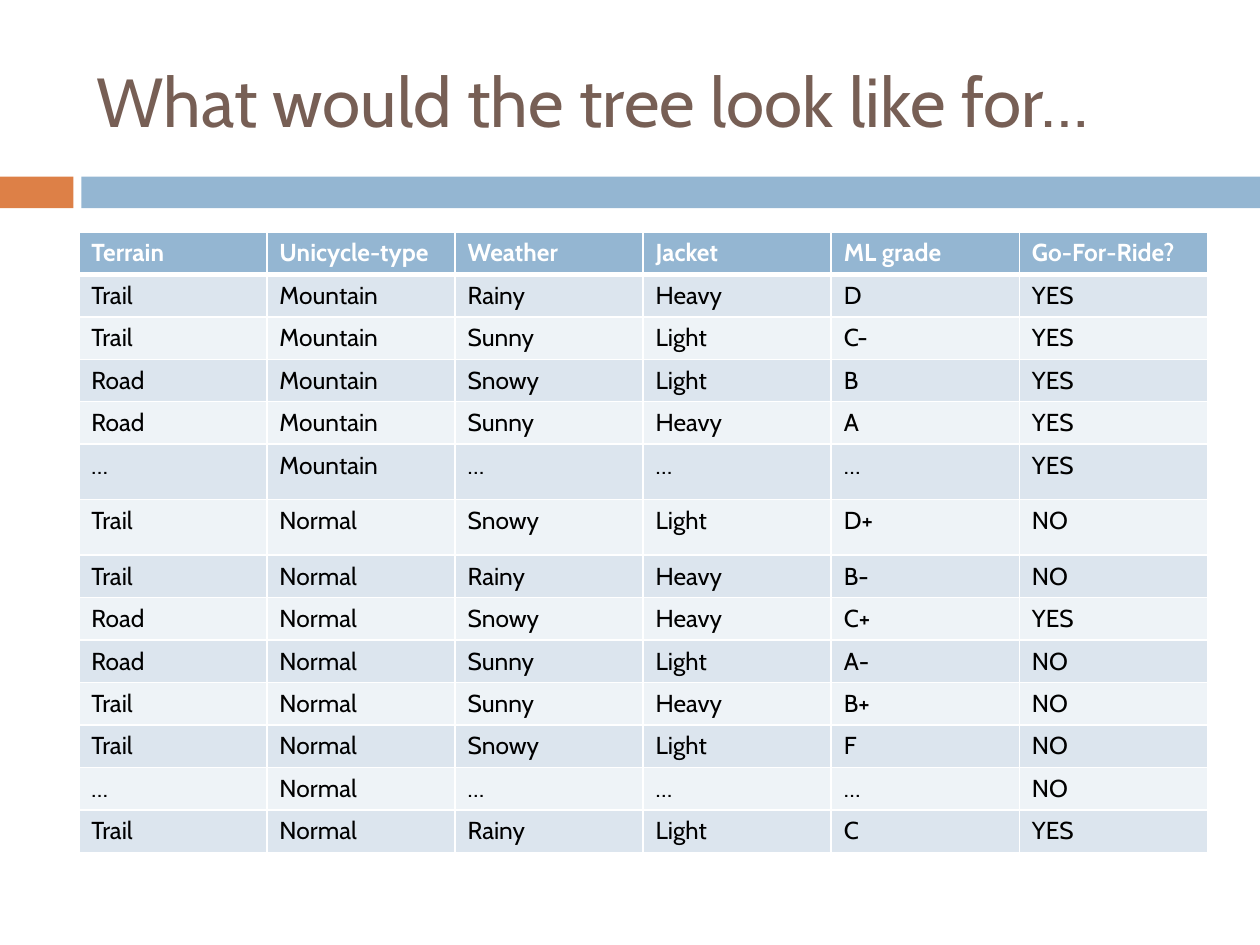
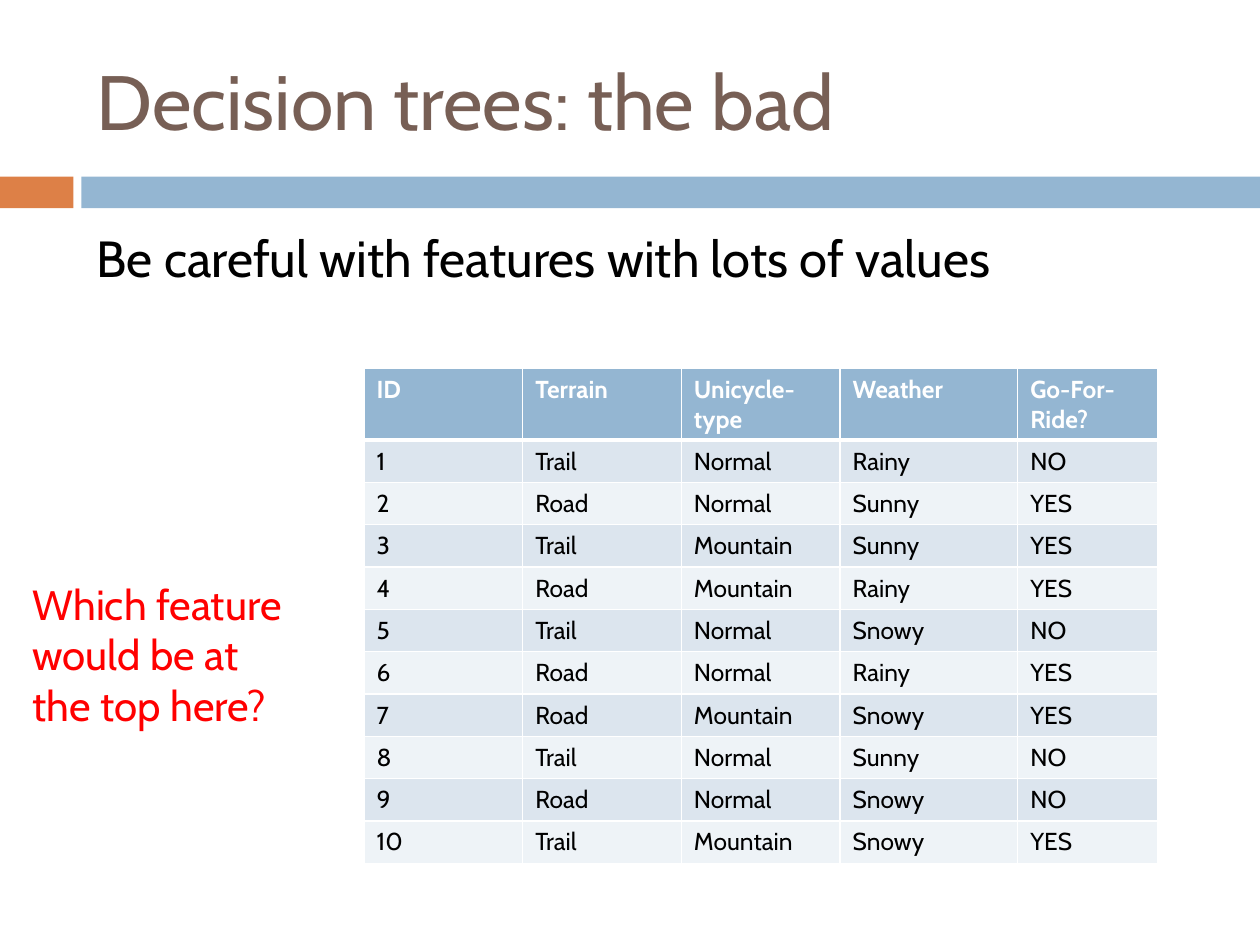
from dataclasses import dataclass

from lxml import etree
from pptx import Presentation
from pptx.dml.color import RGBColor
from pptx.enum import shapes, text
from pptx.oxml import ns
from pptx.util import Pt

FONT = "Cabin"
COLOURS = {
    "title": "775F55",
    "accent": "DD8047",
    "band": "94B6D2",
    "odd_row": "DCE5EE",
    "even_row": "EEF3F7",
    "white": "FFFFFF",
    "black": "000000",
    "question": "FF0000",
}
ROW_HEIGHT = 24.2
TALL_ROW_HEIGHT = 31.7


@dataclass(frozen=True)
class Box:
    left: float
    top: float
    width: float
    height: float

    def lengths(self) -> tuple:
        return Pt(self.left), Pt(self.top), Pt(self.width), Pt(self.height)


@dataclass(frozen=True)
class Band:
    box: Box
    colour: str


@dataclass(frozen=True)
class DataTable:
    left: float
    top: float
    column_widths: list[float]
    row_heights: list[float]
    header: list[str]
    records: list[str]

    def rows(self) -> list[list[str]]:
        return [self.header] + [record.split() for record in self.records]


TITLE_BOX = Box(48, 18, 642, 78)
BANDS = [
    Band(Box(0, 101, 42, 18), "accent"),
    Band(Box(46.5, 101, 673.5, 18), "band"),
]

RIDES = DataTable(
    left=45,
    top=132.5,
    column_widths=[107.5] * 6,
    row_heights=[ROW_HEIGHT] * 5 + [TALL_ROW_HEIGHT] * 2 + [ROW_HEIGHT] * 7,
    header=["Terrain", "Unicycle-type", "Weather", "Jacket", "ML grade", "Go-For-Ride?"],
    records=[
        "Trail Mountain Rainy Heavy D YES",
        "Trail Mountain Sunny Light C- YES",
        "Road Mountain Snowy Light B YES",
        "Road Mountain Sunny Heavy A YES",
        "… Mountain … … … YES",
        "Trail Normal Snowy Light D+ NO",
        "Trail Normal Rainy Heavy B- NO",
        "Road Normal Snowy Heavy C+ YES",
        "Road Normal Sunny Light A- NO",
        "Trail Normal Sunny Heavy B+ NO",
        "Trail Normal Snowy Light F NO",
        "… Normal … … … NO",
        "Trail Normal Rainy Light C YES",
    ],
)

NUMBERED_RIDES = DataTable(
    left=208,
    top=210.5,
    column_widths=[90.7, 90.7, 90.7, 101.5, 80],
    row_heights=[41] + [ROW_HEIGHT] * 10,
    header=["ID", "Terrain", "Unicycle-type", "Weather", "Go-For-Ride?"],
    records=[
        "1 Trail Normal Rainy NO",
        "2 Road Normal Sunny YES",
        "3 Trail Mountain Sunny YES",
        "4 Road Mountain Rainy YES",
        "5 Trail Normal Snowy NO",
        "6 Road Normal Rainy YES",
        "7 Road Mountain Snowy YES",
        "8 Trail Normal Sunny NO",
        "9 Road Normal Snowy NO",
        "10 Trail Mountain Snowy YES",
    ],
)


def rgb(name: str) -> RGBColor:
    return RGBColor.from_string(COLOURS[name])


def write_text(frame, content: str, *, size: float, colour: str = "black",
               bold: bool = False, space_before: float = 0) -> None:
    frame.word_wrap = True
    paragraph = frame.paragraphs[0]
    paragraph.alignment = text.PP_ALIGN.LEFT
    paragraph.space_before = Pt(space_before)
    run = paragraph.add_run()
    run.text = content
    run.font.name = FONT
    run.font.size = Pt(size)
    run.font.bold = bold
    run.font.color.rgb = rgb(colour)


def add_text_box(slide, box: Box, content: str, **text_format) -> None:
    frame = slide.shapes.add_textbox(*box.lengths()).text_frame
    write_text(frame, content, **text_format)


def add_band(slide, band: Band) -> None:
    shape = slide.shapes.add_shape(shapes.MSO_SHAPE.RECTANGLE, *band.box.lengths())
    shape.shadow.inherit = False
    shape.fill.solid()
    shape.fill.fore_color.rgb = rgb(band.colour)
    shape.line.fill.background()


def add_titled_slide(presentation, title: str, title_size: float):
    slide = presentation.slides.add_slide(presentation.slide_layouts[5])
    placeholder = slide.shapes.title
    placeholder.left, placeholder.top, placeholder.width, placeholder.height = TITLE_BOX.lengths()
    placeholder.text_frame.vertical_anchor = text.MSO_ANCHOR.MIDDLE
    write_text(placeholder.text_frame, title, size=title_size, colour="title")
    for band in BANDS:
        add_band(slide, band)
    return slide


def set_borders(cell, top: float, bottom: float) -> None:
    """Give the cell white borders; the side borders are 1 pt wide."""
    properties = cell._tc.get_or_add_tcPr()
    widths = {"lnL": 1, "lnR": 1, "lnT": top, "lnB": bottom}
    for position, (tag, width) in enumerate(widths.items()):
        line = etree.Element(ns.qn(f"a:{tag}"), w=str(Pt(width)))
        fill = etree.SubElement(line, ns.qn("a:solidFill"))
        etree.SubElement(fill, ns.qn("a:srgbClr"), val=COLOURS["white"])
        properties.insert(position, line)


def add_data_table(slide, data: DataTable) -> None:
    rows = data.rows()
    box = Box(data.left, data.top, sum(data.column_widths), sum(data.row_heights))
    table = slide.shapes.add_table(len(rows), len(data.header), *box.lengths()).table
    for column, width in zip(table.columns, data.column_widths):
        column.width = Pt(width)
    for row, height in zip(table.rows, data.row_heights):
        row.height = Pt(height)
    for row_index, values in enumerate(rows):
        is_header = row_index == 0
        fill = "band" if is_header else ("odd_row" if row_index % 2 else "even_row")
        for column_index, value in enumerate(values):
            cell = table.cell(row_index, column_index)
            cell.fill.solid()
            cell.fill.fore_color.rgb = rgb(fill)
            set_borders(cell, top=3 if row_index == 1 else 1, bottom=3 if is_header else 1)
            write_text(cell.text_frame, value, size=14, bold=is_header,
                       colour="white" if is_header else "black")


def main() -> None:
    presentation = Presentation()
    presentation.slide_width, presentation.slide_height = Pt(720), Pt(540)

    rides_slide = add_titled_slide(presentation, "What would the tree look like for…", 39.6)
    add_data_table(rides_slide, RIDES)

    caution_slide = add_titled_slide(presentation, "Decision trees: the bad", 44)
    add_text_box(caution_slide, Box(48, 126, 642, 354),
                 "Be careful with features with lots of values", size=29, space_before=7)
    add_data_table(caution_slide, NUMBERED_RIDES)
    add_text_box(caution_slide, Box(11.5, 327, 167, 94.5),
                 "Which feature would be at the top here?", size=24, colour="question")

    presentation.save("out.pptx")


if __name__ == "__main__":
    main()
